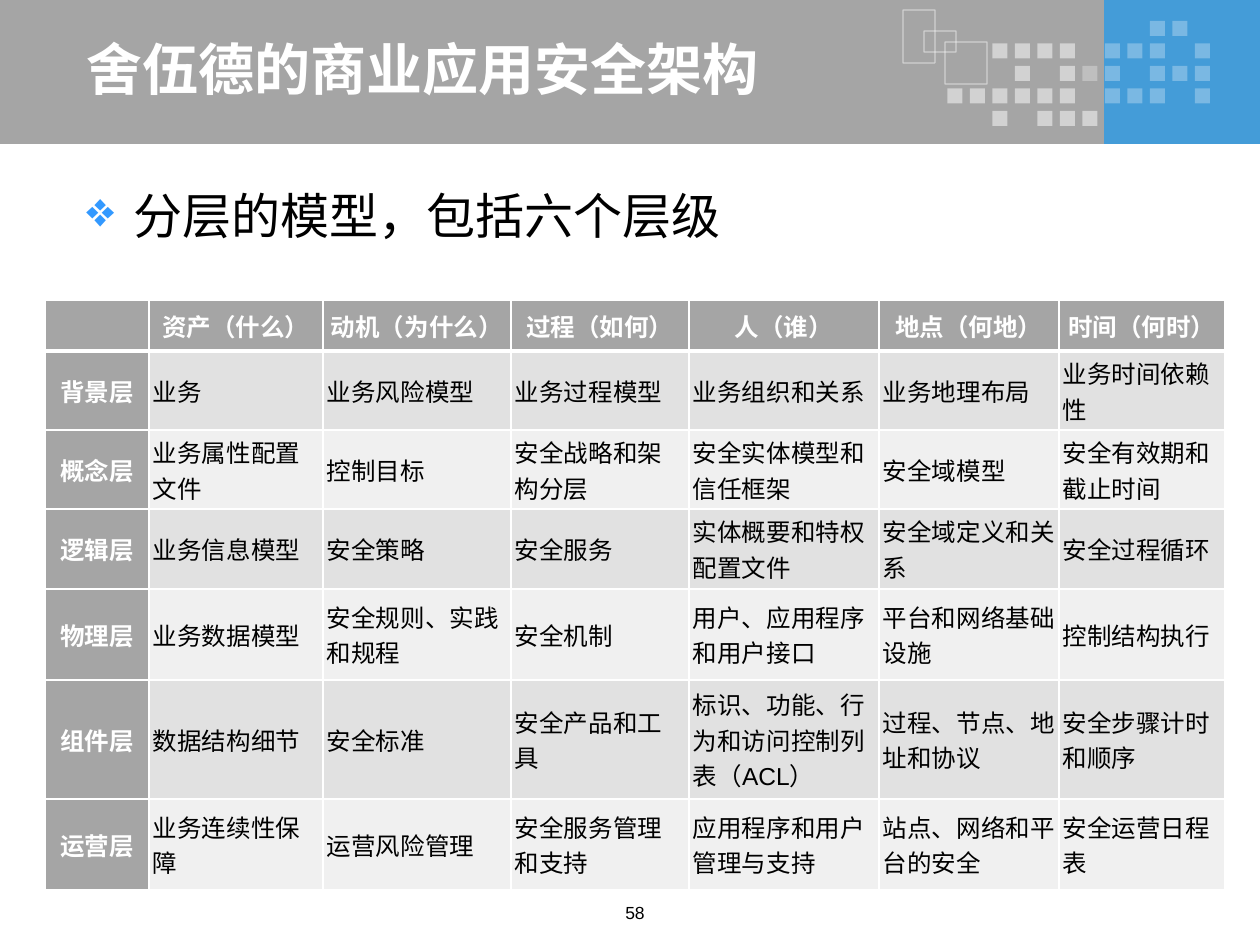
from pptx import Presentation
from pptx.dml.color import RGBColor
from pptx.enum.shapes import MSO_SHAPE
from pptx.enum.text import MSO_ANCHOR, PP_ALIGN
from pptx.oxml import parse_xml
from pptx.oxml.ns import nsdecls, qn
from pptx.util import Emu, Pt
from lxml.etree import SubElement

WHITE = RGBColor(0xFF, 0xFF, 0xFF)
BLACK = RGBColor(0, 0, 0)
GRAY = RGBColor(0xA5, 0xA5, 0xA5)
BLUE = RGBColor(0x44, 0x9C, 0xD8)
BULLET_BLUE = RGBColor(0x33, 0x99, 0xFF)
BANDS = (RGBColor(0xE1, 0xE1, 0xE1), RGBColor(0xF0, 0xF0, 0xF0))
CJK, LATIN = "Noto Sans CJK SC", "Arial"

TITLE = "舍伍德的商业应用安全架构"
STATEMENT = "分层的模型，包括六个层级"
PAGE = "58"
MATRIX = [
    ["", "资产（什么）", "动机（为什么）", "过程（如何）", "人（谁）", "地点（何地）", "时间（何时）"],
    ["背景层", "业务", "业务风险模型", "业务过程模型", "业务组织和关系", "业务地理布局", "业务时间依赖性"],
    ["概念层", "业务属性配置文件", "控制目标", "安全战略和架构分层", "安全实体模型和信任框架",
     "安全域模型", "安全有效期和截止时间"],
    ["逻辑层", "业务信息模型", "安全策略", "安全服务", "实体概要和特权配置文件",
     "安全域定义和关系", "安全过程循环"],
    ["物理层", "业务数据模型", "安全规则、实践和规程", "安全机制", "用户、应用程序和用户接口",
     "平台和网络基础设施", "控制结构执行"],
    ["组件层", "数据结构细节", "安全标准", "安全产品和工具", "标识、功能、行为和访问控制列表（ACL）",
     "过程、节点、地址和协议", "安全步骤计时和顺序"],
    ["运营层", "业务连续性保障", "运营风险管理", "安全服务管理和支持", "应用程序和用户管理与支持",
     "站点、网络和平台的安全", "安全运营日程表"],
]
COLUMN_WIDTHS = [104, 174, 188, 178, 190, 180, 166]
ROW_HEIGHTS = [51, 79, 79, 80, 91, 119, 91]
MOSAIC = [
    ".........++.",
    "..####.+++.+",
    "...#.#++.+++",
    "######.+++.+",
    "..#.###.....",
]
OPACITY = {"#": 50, "+": 29}
FRAMES = [(903, 10, 32, 53), (924, 31, 32, 21), (945, 42, 42, 42)]


def px(length):
    """Turn pixels into EMU."""
    return Emu(round(length * 914400 / 126))


def fade(paint, percent):
    """Make a solid fill partly transparent."""
    color = paint._xPr.find(qn("a:solidFill"))[0]
    SubElement(color, qn("a:alpha"), val=str(percent * 1000))


def add_rectangle(slide, box, fill=None, opacity=100):
    """Add a filled rectangle, or a thin translucent frame without fill."""
    rectangle = slide.shapes.add_shape(MSO_SHAPE.RECTANGLE, *map(px, box))
    rectangle.shadow.inherit = False
    if fill is None:
        rectangle.fill.background()
        rectangle.line.width = Pt(0.75)
        paint = rectangle.line.fill
        paint.solid()
        paint.fore_color.rgb = WHITE
    else:
        rectangle.line.fill.background()
        paint = rectangle.fill
        paint.solid()
        paint.fore_color.rgb = fill
    if opacity < 100:
        fade(paint, opacity)


def write(frame, text, size, font, color, bold=False, align=PP_ALIGN.LEFT):
    """Set one styled paragraph and return it."""
    frame.text = text
    paragraph = frame.paragraphs[0]
    paragraph.alignment = align
    for run in paragraph.runs:
        run.font.size, run.font.name, run.font.bold = Pt(size), font, bold
        run.font.color.rgb = color
        SubElement(run.font._element, qn("a:ea"), typeface=CJK)
    return paragraph


def add_text(slide, box, anchor, *style, **options):
    """Add a wrapping text box with one paragraph."""
    frame = slide.shapes.add_textbox(*map(px, box)).text_frame
    frame.word_wrap = True
    frame.vertical_anchor = anchor
    return write(frame, *style, **options)


def add_bullet(paragraph, symbol, color, indent):
    """Give a paragraph a coloured hanging bullet."""
    properties = paragraph._p.get_or_add_pPr()
    properties.set("marL", str(indent))
    properties.set("indent", str(-indent))
    SubElement(SubElement(properties, qn("a:buClr")), qn("a:srgbClr"), val=str(color))
    SubElement(properties, qn("a:buChar"), char=symbol)


def set_borders(cell, widths):
    """Draw white borders in left, right, top, bottom order."""
    properties = cell._tc.get_or_add_tcPr()
    for index, (side, width) in enumerate(zip("LRTB", widths)):
        properties.insert(index, parse_xml(
            f'<a:ln{side} {nsdecls("a")} w="{Pt(width)}"><a:solidFill>'
            f'<a:srgbClr val="{WHITE}"/></a:solidFill></a:ln{side}>'))


def add_matrix(slide):
    """Build the table of layers against questions."""
    box = (45, 300, sum(COLUMN_WIDTHS), sum(ROW_HEIGHTS))
    table = slide.shapes.add_table(len(MATRIX), len(MATRIX[0]), *map(px, box)).table
    for column, width in zip(table.columns, COLUMN_WIDTHS):
        column.width = px(width)
    for r, (texts, height) in enumerate(zip(MATRIX, ROW_HEIGHTS)):
        table.rows[r].height = px(height)
        for c, text in enumerate(texts):
            cell = table.cell(r, c)
            heading = r == 0 or c == 0
            cell.margin_left = cell.margin_right = px(4)
            cell.margin_top = cell.margin_bottom = 0
            cell.vertical_anchor = MSO_ANCHOR.MIDDLE
            cell.fill.solid()
            cell.fill.fore_color.rgb = GRAY if heading else BANDS[(r - 1) % 2]
            set_borders(cell, (1, 1, 3 if r == 1 else 1, 3 if r == 0 else 1))
            write(cell.text_frame, text, 14, LATIN, WHITE if heading else BLACK, heading,
                  PP_ALIGN.CENTER if heading else PP_ALIGN.LEFT)


def main():
    """Build and save the slide."""
    deck = Presentation()
    deck.slide_width, deck.slide_height = px(1260), px(945)
    slide = deck.slides.add_slide(deck.slide_layouts[6])

    add_rectangle(slide, (1104, 0, 156, 144), BLUE)
    add_rectangle(slide, (0, 0, 1104, 144), GRAY)
    for r, pattern in enumerate(MOSAIC):
        for c, mark in enumerate(pattern):
            if mark in OPACITY:
                add_rectangle(slide, (947.5 + 22.5 * c, 21 + 22.5 * r, 15, 15), WHITE, OPACITY[mark])
    for frame in FRAMES:
        add_rectangle(slide, frame, opacity=50)

    add_text(slide, (74, 35, 978, 67), MSO_ANCHOR.MIDDLE, TITLE, 32, CJK, WHITE, bold=True)
    statement = add_text(slide, (74, 179, 1129, 90), MSO_ANCHOR.TOP, STATEMENT, 28, CJK, BLACK)
    add_bullet(statement, "❖", BULLET_BLUE, px(47))
    add_text(slide, (577, 896, 116, 37), MSO_ANCHOR.TOP, PAGE, 10, LATIN, BLACK,
             align=PP_ALIGN.CENTER)
    add_matrix(slide)
    deck.save("out.pptx")


if __name__ == "__main__":
    main()
